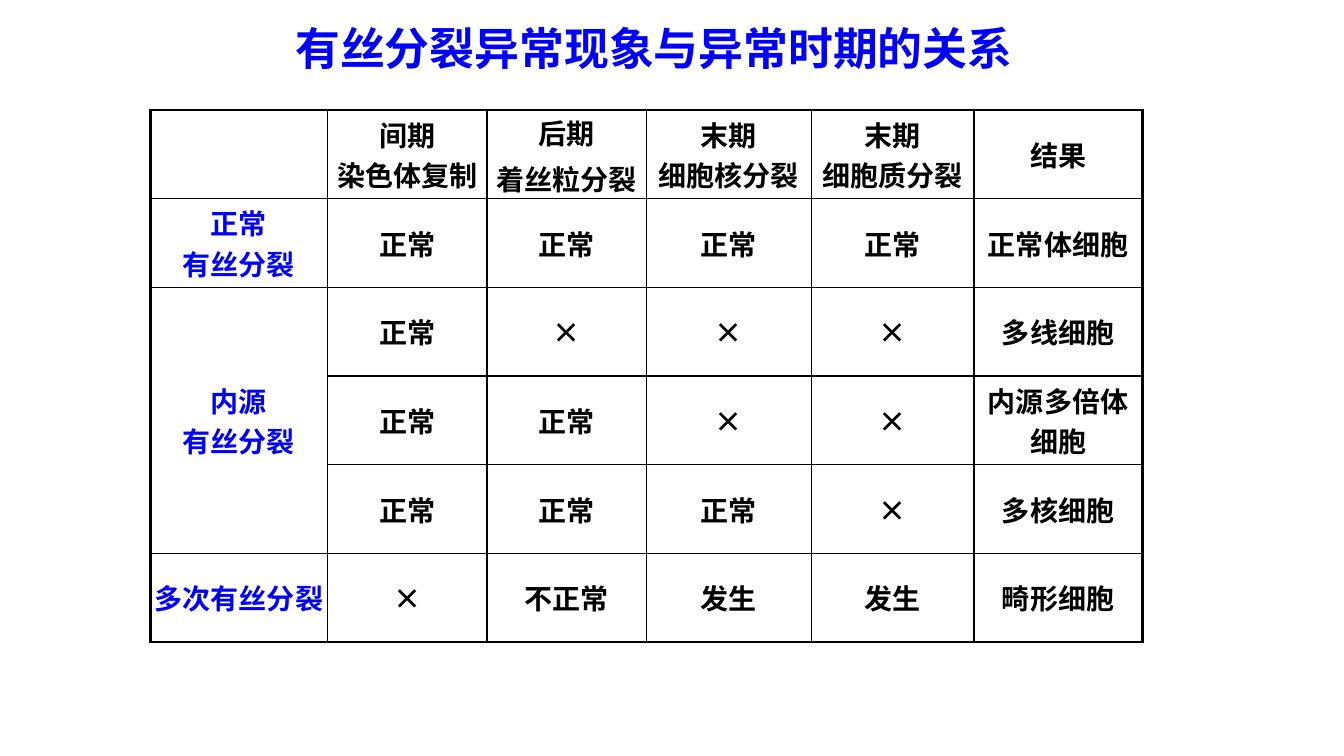
from pptx import Presentation
from pptx.dml.color import RGBColor
from pptx.enum.text import MSO_ANCHOR as Anchor, PP_ALIGN as Align
from pptx.oxml.ns import qn
from pptx.util import Inches, Pt
from lxml.etree import SubElement

BLUE = RGBColor(0x00, 0x00, 0xFF)
BLACK = RGBColor(0x00, 0x00, 0x00)
FONT = "Noto Sans CJK SC"

TITLE = "有丝分裂异常现象与异常时期的关系"
COL_WIDTHS = [1.76, 1.58, 1.58, 1.64, 1.61, 1.67]
# "\n" breaks a line; a list holds separate paragraphs
ROWS = [
    ["", "间期\n染色体复制", ["后期", "着丝粒分裂"], "末期\n细胞核分裂",
     "末期\n细胞质分裂", "结果"],
    ["正常\n有丝分裂", "正常", "正常", "正常", "正常", "正常体细胞"],
    ["内源\n有丝分裂", "正常", "×", "×", "×", "多线细胞"],
    ["", "正常", "正常", "×", "×", "内源多倍体细胞"],
    ["", "正常", "正常", "正常", "×", "多核细胞"],
    ["多次有丝分裂", "×", "不正常", "发生", "发生", "畸形细胞"],
]
MERGE_TOP, MERGE_BOTTOM = 2, 4
THIN, THICK = 1, 2.25


def style_paragraph(p, size, color):
    font = p.font
    font.size, font.bold, font.name = Pt(size), True, FONT
    font.color.rgb = color
    # East Asian typeface
    SubElement(font._element, qn("a:ea"), typeface=FONT)


def add_title(slide, left, top, width, height):
    box = slide.shapes.add_textbox(Inches(left), Inches(top),
                                   Inches(width), Inches(height))
    tf = box.text_frame
    tf.word_wrap = True
    tf.vertical_anchor = Anchor.MIDDLE
    p = tf.paragraphs[0]
    p.text = TITLE
    p.line_spacing = 0.9
    style_paragraph(p, 32, BLUE)


def set_borders(cell, widths):
    tc_pr = cell._tc.get_or_add_tcPr()
    for side, width in widths.items():
        ln = SubElement(tc_pr, qn(f"a:ln{side}"), w=str(Pt(width)))
        fill = SubElement(ln, qn("a:solidFill"))
        SubElement(fill, qn("a:srgbClr"), val=str(BLACK))


def fill_cell(cell, content, color):
    cell.vertical_anchor = Anchor.MIDDLE
    cell.margin_left = cell.margin_right = Inches(0.02)
    cell.margin_top = cell.margin_bottom = Inches(0.02)
    tf = cell.text_frame
    texts = content if isinstance(content, list) else [content]
    for i, text in enumerate(texts):
        p = tf.add_paragraph() if i else tf.paragraphs[0]
        p.text = text
        p.alignment = Align.CENTER
        if i:
            p.space_before = Pt(4)
        style_paragraph(p, 20, color)


def add_division_table(slide, left, top, row_height):
    n_rows, n_cols = len(ROWS), len(COL_WIDTHS)
    table = slide.shapes.add_table(
        n_rows, n_cols, Inches(left), Inches(top),
        Inches(sum(COL_WIDTHS)), Inches(row_height * n_rows)).table
    table.first_row = table.horz_banding = False
    for column, width in zip(table.columns, COL_WIDTHS):
        column.width = Inches(width)
    for row in table.rows:
        row.height = Inches(row_height)
    table.cell(MERGE_TOP, 0).merge(table.cell(MERGE_BOTTOM, 0))

    for r, row in enumerate(ROWS):
        for c, content in enumerate(row):
            cell = table.cell(r, c)
            # Thick outer frame, thin inner grid
            widths = {"L": THIN if c else THICK,
                      "R": THIN if c < n_cols - 1 else THICK}
            if not cell.is_spanned:
                widths["T"] = THIN if r else THICK
                widths["B"] = THIN if r < n_rows - 1 else THICK
            set_borders(cell, widths)
            cell.fill.background()
            fill_cell(cell, content, BLACK if c else BLUE)


def main():
    prs = Presentation()
    prs.slide_width, prs.slide_height = Inches(13.33), Inches(7.5)
    slide = prs.slides.add_slide(prs.slide_layouts[6])
    add_title(slide, 2.83, 0.22, 8.5, 0.58)
    add_division_table(slide, 1.49, 1.09, 0.88)
    prs.save("out.pptx")


if __name__ == "__main__":
    main()
